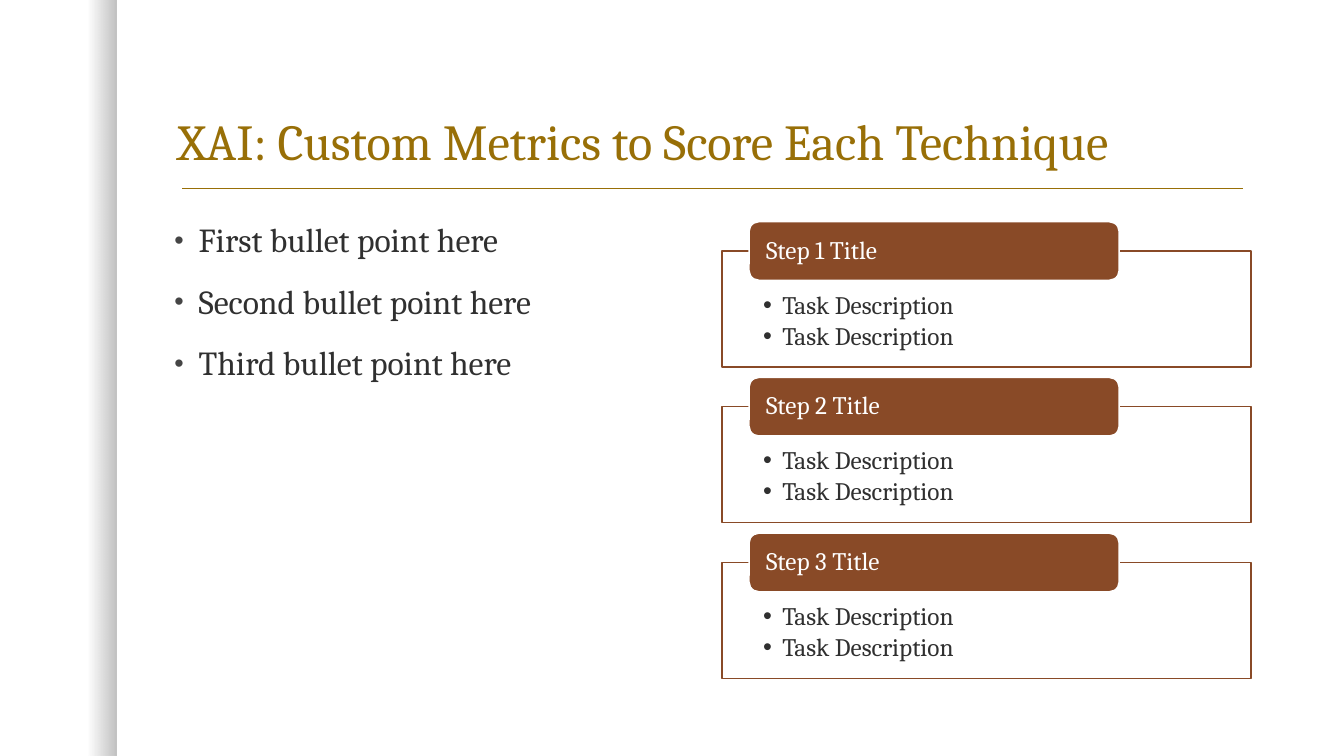
from dataclasses import dataclass
from lxml.etree import SubElement
from pptx import Presentation
from pptx.dml.color import RGBColor
from pptx.enum.shapes import MSO_CONNECTOR, MSO_SHAPE
from pptx.enum.text import MSO_ANCHOR, MSO_AUTO_SIZE, PP_ALIGN
from pptx.oxml.ns import qn
from pptx.util import Inches, Pt


@dataclass(frozen=True)
class Theme:
    font: str = "Cambria"
    gold: str = "986F07"
    rust: str = "894A27"
    ink: str = "303030"
    dot: str = "454545"
    white: str = "FFFFFF"
    black: str = "000000"
    head: int = 36
    body: int = 24
    step: int = 18


def assign(target, values):
    for name, value in values.items():
        setattr(target, name, value)


def fade(root, alphas):
    for node, alpha in zip(root.iter(qn("a:srgbClr")), alphas):
        SubElement(node, qn("a:alpha"), val=str(alpha * 1000))


class Deck:
    def __init__(self, theme):
        self.theme = theme
        self.file = Presentation()
        assign(self.file, {"slide_width": Inches(13.33), "slide_height": Inches(7.5)})
        self.slide = self.file.slides.add_slide(self.file.slide_layouts[1])
        self.shapes = self.slide.shapes

    def color(self, value):
        return RGBColor.from_string(value)

    def place(self, shape, box):
        names = ("left", "top", "width", "height")
        assign(shape, dict(zip(names, map(Inches, box))))

    def bullet(self, para, indent, color, size):
        props = para._p.get_or_add_pPr()
        props.set("marL", str(Inches(indent)))
        props.set("indent", str(-Inches(indent)))
        SubElement(SubElement(props, qn("a:buClr")), qn("a:srgbClr"), val=color)
        SubElement(props, qn("a:buSzPct"), val=str(size * 1000))
        SubElement(props, qn("a:buFont"), typeface="Arial")
        SubElement(props, qn("a:buChar"), char="•")

    def label(self, shape, lines, size, color, frame, before=0, after=0, mark=None):
        text = shape.text_frame
        assign(text, {"word_wrap": True, "auto_size": MSO_AUTO_SIZE.NONE, **frame})
        for num, line in enumerate(lines):
            para = text.add_paragraph() if num else text.paragraphs[0]
            para.text = line
            if mark:
                self.bullet(para, *mark)
            assign(para, {"alignment": PP_ALIGN.LEFT, "line_spacing": 0.9,
                          "space_before": Pt(before if num else 0), "space_after": Pt(after)})
            font = para.runs[0].font
            assign(font, {"name": self.theme.font, "size": Pt(size)})
            font.color.rgb = self.color(color)

    def title(self, line, box):
        shape = self.shapes.title
        self.place(shape, box)
        self.label(shape, [line], self.theme.head, self.theme.gold,
                   {"vertical_anchor": MSO_ANCHOR.BOTTOM})

    def body(self, lines, box):
        shape = self.slide.placeholders[1]
        self.place(shape, box)
        self.label(shape, lines, self.theme.body, self.theme.ink,
                   {"vertical_anchor": MSO_ANCHOR.TOP}, before=18,
                   mark=(0.24, self.theme.dot, 80))

    def block(self, kind, box):
        shape = self.shapes.add_shape(kind, *map(Inches, box))
        shape.shadow.inherit = False
        return shape

    def panel(self, kind, box, fill, line):
        shape = self.block(kind, box)
        shape.fill.solid()
        shape.fill.fore_color.rgb = self.color(fill)
        shape.line.color.rgb = self.color(line)
        shape.line.width = Pt(1)
        return shape

    def band(self, box):
        shape = self.block(MSO_SHAPE.RECTANGLE, box)
        shape.line.fill.background()
        shape.fill.gradient()
        shape.fill.gradient_angle = 0
        for stop, point in zip(shape.fill.gradient_stops, (0.75, 1)):
            stop.color.rgb = self.color(self.theme.black)
            stop.position = point
        fade(shape._element.spPr, (0, 25))

    def rule(self, left, right, top):
        line = self.shapes.add_connector(
            MSO_CONNECTOR.STRAIGHT, *map(Inches, (left, top, right, top)))
        line.line.color.rgb = self.color(self.theme.gold)
        line.line.width = Pt(1)
        SubElement(line._element.spPr, qn("a:effectLst"))

    def step(self, name, tasks, left, top):
        theme = self.theme
        card = self.panel(MSO_SHAPE.RECTANGLE, (left, top + 0.29, 5.25, 1.15),
                          theme.white, theme.rust)
        fade(card._element.spPr.find(qn("a:solidFill")), (90,))
        self.label(card, tasks, theme.step, theme.ink,
                   {"vertical_anchor": MSO_ANCHOR.TOP, "margin_left": Inches(0.41),
                    "margin_top": Inches(0.41), "margin_right": Inches(0.41),
                    "margin_bottom": Inches(0.14)},
                   after=2.7, mark=(0.19, theme.ink, 100))
        tab = self.panel(MSO_SHAPE.ROUNDED_RECTANGLE, (left + 0.27, top, 3.67, 0.58),
                         theme.rust, theme.white)
        self.label(tab, [name], theme.step, theme.white,
                   {"vertical_anchor": MSO_ANCHOR.MIDDLE, "margin_left": Inches(0.14),
                    "margin_top": 0, "margin_right": Inches(0.14), "margin_bottom": 0})


def main():
    deck = Deck(Theme())
    deck.band((0, 0, 1.16, 7.5))
    deck.rule(1.81, 12.33, 1.87)
    deck.title("XAI: Custom Metrics to Score Each Technique", (1.66, 0.42, 10.75, 1.33))
    deck.body([f"{rank} bullet point here" for rank in ("First", "Second", "Third")],
              (1.63, 2.17, 5.25, 4.58))
    first, last, count = 2.2, 5.29, 3
    pitch = (last - first) / (count - 1)
    for num in range(count):
        deck.step(f"Step {num + 1} Title", ["Task Description"] * 2, 7.16, first + num * pitch)
    deck.file.save("out.pptx")


if __name__ == "__main__":
    main()
